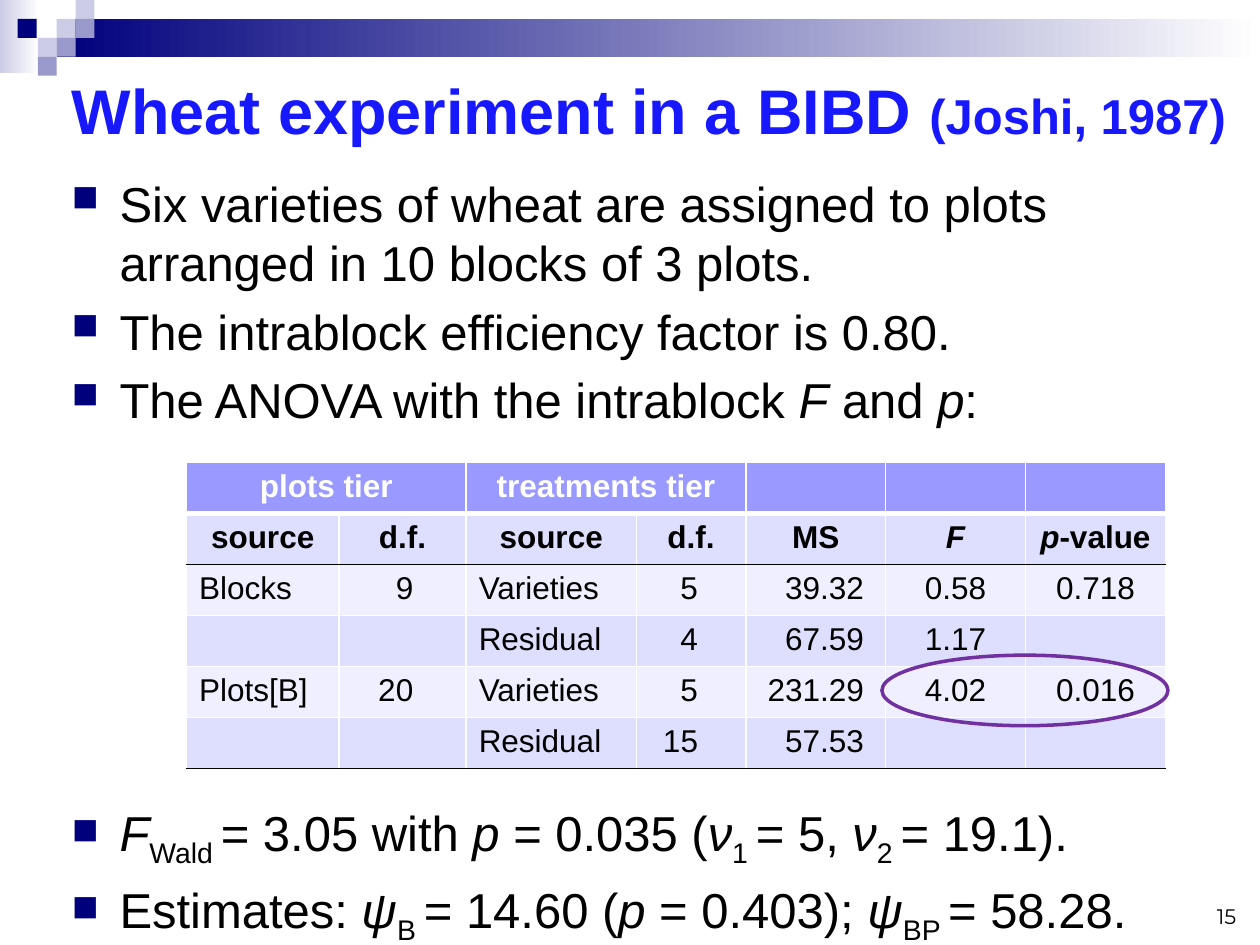
from dataclasses import dataclass
from typing import NamedTuple

from lxml.etree import SubElement
from pptx import Presentation
from pptx.dml.color import RGBColor
from pptx.enum.shapes import MSO_SHAPE as Shape
from pptx.enum.text import MSO_ANCHOR as Anchor, PP_ALIGN as Align
from pptx.oxml.ns import qn
from pptx.util import Inches, Pt


@dataclass(frozen=True)
class Theme:
    font: str = "Arial"
    number_font: str = "Montserrat"
    black: str = "000000"
    white: str = "FFFFFF"
    title: str = "1818FF"
    navy: str = "00007D"
    lilac: str = "9999CC"
    pale: str = "CCCCE6"
    header: str = "9999FF"
    band_dark: str = "DEDEFF"
    band_light: str = "EFEFFF"
    accent: str = "7030A0"
    title_pt: int = 36
    body_pt: int = 28
    table_pt: int = 18
    number_pt: int = 12


class Block(NamedTuple):
    x: float
    y: float
    w: float
    h: float
    fill: str
    fade: bool = False


class Run(NamedTuple):
    text: str
    italic: bool = False
    sub: bool = False
    size: int | None = None


class Column(NamedTuple):
    width: float
    align: Align = Align.LEFT
    decimal_tab: float | None = None


T = Theme()
SQ = 0.15
BLOCKS = [
    Block(0, 0, 0.31, 0.58, T.pale, True),
    Block(0.45, SQ, 9.55, 0.3, T.navy, True),
    *(Block(x, y, SQ, SQ, fill) for x, y, fill in [
        (0.45, 0.15, T.pale), (0.6, 0, T.pale), (0.6, 0.15, T.lilac),
        (0.3, 0.3, T.pale), (0.14, 0.15, T.navy), (0.45, 0.3, T.lilac),
        (0.3, 0.45, T.lilac)]),
]


def it(text: str) -> Run:
    return Run(text, italic=True)


def sub(text: str) -> Run:
    return Run(text, sub=True)


TITLE = ["Wheat experiment in a BIBD ", Run("(Joshi, 1987)", size=T.body_pt)]
DESIGN = [
    ["Six varieties of wheat are assigned to plots arranged in 10 blocks of 3 plots."],
    ["The intrablock efficiency factor is 0.80."],
    ["The ANOVA with the intrablock ", it("F"), " and ", it("p"), ":"],
]
RESULTS = [
    [it("F"), sub("Wald "), "= 3.05 with ", it("p "), "= 0.035 (",
     it("ν"), sub("1 "), "= 5, ", it("ν"), sub("2 "), "= 19.1)."],
    ["Estimates: ", it("ψ"), sub("B "), "= 14.60 (", it("p "), "= 0.403); ",
     it("ψ"), sub("BP "), "= 58.28."],
]
COLUMNS = [
    Column(1.21), Column(1.01, decimal_tab=0.49),
    Column(1.35), Column(0.87, decimal_tab=0.39),
    Column(1.11, decimal_tab=0.49),
    Column(1.11, Align.CENTER), Column(1.11, Align.CENTER),
]
ROW_H = 0.405
ROWS = [
    ["plots tier", "", "treatments tier", "", "", "", ""],
    ["source", "d.f.", "source", "d.f.", "MS", it("F"), [it("p"), "-value"]],
    ["Blocks", "9", "Varieties", "5", "39.32", "0.58", "0.718"],
    ["", "", "Residual", "4", "67.59", "1.17", ""],
    ["Plots[B]", "20", "Varieties", "5", "231.29", "4.02", "0.016"],
    ["", "", "Residual", "15", "57.53", "", ""],
]


def rgb(color: str) -> RGBColor:
    return RGBColor.from_string(color)


def write(p, runs, *, size, color=T.black, font=T.font, bold=False, align=Align.LEFT):
    p.alignment = align
    for item in runs:
        run = item if isinstance(item, Run) else Run(item)
        r = p.add_run()
        r.text = run.text
        f = r.font
        f.name, f.size, f.bold, f.italic = font, Pt(run.size or size), bold, run.italic
        f.color.rgb = rgb(color)
        if run.sub:
            r._r.get_or_add_rPr().set("baseline", "-25000")


def add_text_box(slide, x, y, w, h, anchor=Anchor.TOP):
    tf = slide.shapes.add_textbox(Inches(x), Inches(y), Inches(w), Inches(h)).text_frame
    tf.word_wrap, tf.vertical_anchor = True, anchor
    return tf


def set_bullet(p):
    pPr = p._p.get_or_add_pPr()
    pPr.set("marL", str(Inches(0.38)))
    pPr.set("indent", str(-Inches(0.38)))
    SubElement(SubElement(pPr, qn("a:buClr")), qn("a:srgbClr"), val=T.navy)
    SubElement(pPr, qn("a:buSzPct"), val="75000")
    SubElement(pPr, qn("a:buChar"), char="■")


def add_bullets(slide, x, y, w, h, items):
    tf = add_text_box(slide, x, y, w, h)
    for n, runs in enumerate(items):
        p = tf.paragraphs[0] if n == 0 else tf.add_paragraph()
        set_bullet(p)
        if n:
            p.space_before = Pt(0.2 * T.body_pt)
        write(p, runs, size=T.body_pt)


def add_block(slide, block: Block):
    sp = slide.shapes.add_shape(Shape.RECTANGLE, *map(Inches, block[:4]))
    sp.shadow.inherit = False
    sp.line.fill.background()
    if block.fade:
        sp.fill.gradient()
        sp.fill.gradient_angle = 0
        for stop, color in zip(sp.fill.gradient_stops, (block.fill, T.white)):
            stop.color.rgb = rgb(color)
    else:
        sp.fill.solid()
        sp.fill.fore_color.rgb = rgb(block.fill)


def style_cell(cell, row: int, fill: str):
    """Set borders before the fill, as the schema orders them."""
    top = (T.white, 3) if row == 1 else (T.black if row == 2 else T.white, 1)
    bottom = (T.white, 3) if row == 0 else (T.black if row in (1, len(ROWS) - 1) else T.white, 1)
    white = (T.white, 1)
    tcPr = cell._tc.get_or_add_tcPr()
    for side, (color, width) in zip("LRTB", (white, white, top, bottom)):
        ln = SubElement(tcPr, qn(f"a:ln{side}"), w=str(Pt(width)))
        SubElement(SubElement(ln, qn("a:solidFill")), qn("a:srgbClr"), val=color)
    cell.fill.solid()
    cell.fill.fore_color.rgb = rgb(fill)


def add_anova_table(slide, x, y):
    width = sum(c.width for c in COLUMNS)
    table = slide.shapes.add_table(len(ROWS), len(COLUMNS), Inches(x), Inches(y),
                                   Inches(width), Inches(ROW_H * len(ROWS))).table
    for col, spec in zip(table.columns, COLUMNS):
        col.width = Inches(spec.width)
    for r, values in enumerate(ROWS):
        heading = r < 2
        fill = T.header if r == 0 else T.band_dark if r % 2 else T.band_light
        for c, (value, column) in enumerate(zip(values, COLUMNS)):
            cell = table.cell(r, c)
            style_cell(cell, r, fill)
            if not value:
                continue
            p = cell.text_frame.paragraphs[0]
            runs = value if isinstance(value, list) else [value]
            if column.decimal_tab and not heading:
                tabs = SubElement(p._p.get_or_add_pPr(), qn("a:tabLst"))
                SubElement(tabs, qn("a:tab"), pos=str(Inches(column.decimal_tab)), algn="dec")
                runs = ["\t" + value]
            write(p, runs, size=T.table_pt, bold=heading,
                  color=T.white if r == 0 else T.black,
                  align=Align.CENTER if heading else column.align)
    for c in (0, 2):
        table.cell(0, c).merge(table.cell(0, c + 1))


def add_highlight(slide, x, y, w, h):
    sp = slide.shapes.add_shape(Shape.OVAL, Inches(x), Inches(y), Inches(w), Inches(h))
    sp.shadow.inherit = False
    sp.fill.background()
    sp.line.color.rgb = rgb(T.accent)
    sp.line.width = Pt(2)


def main():
    prs = Presentation()
    prs.slide_width, prs.slide_height = Inches(10), Inches(7.5)
    slide = prs.slides.add_slide(prs.slide_layouts[5])
    for block in BLOCKS:
        add_block(slide, block)

    title = slide.shapes.title
    title.left, title.top, title.width, title.height = map(Inches, (0.47, 0.47, 9.45, 0.79))
    title.text_frame.vertical_anchor = Anchor.MIDDLE
    write(title.text_frame.paragraphs[0], TITLE, size=T.title_pt, color=T.title, bold=True)

    add_bullets(slide, 0.47, 1.33, 9.45, 2.21, DESIGN)
    number = add_text_box(slide, 7.58, 6.92, 2.33, 0.5, Anchor.BOTTOM)
    write(number.paragraphs[0], ["15"], size=T.number_pt, font=T.number_font, align=Align.RIGHT)
    add_anova_table(slide, 1.48, 3.67)
    add_bullets(slide, 0.47, 6.32, 9.45, 1.14, RESULTS)
    add_highlight(slide, 7, 5.2, 2.27, 0.56)
    prs.save("out.pptx")


if __name__ == "__main__":
    main()
